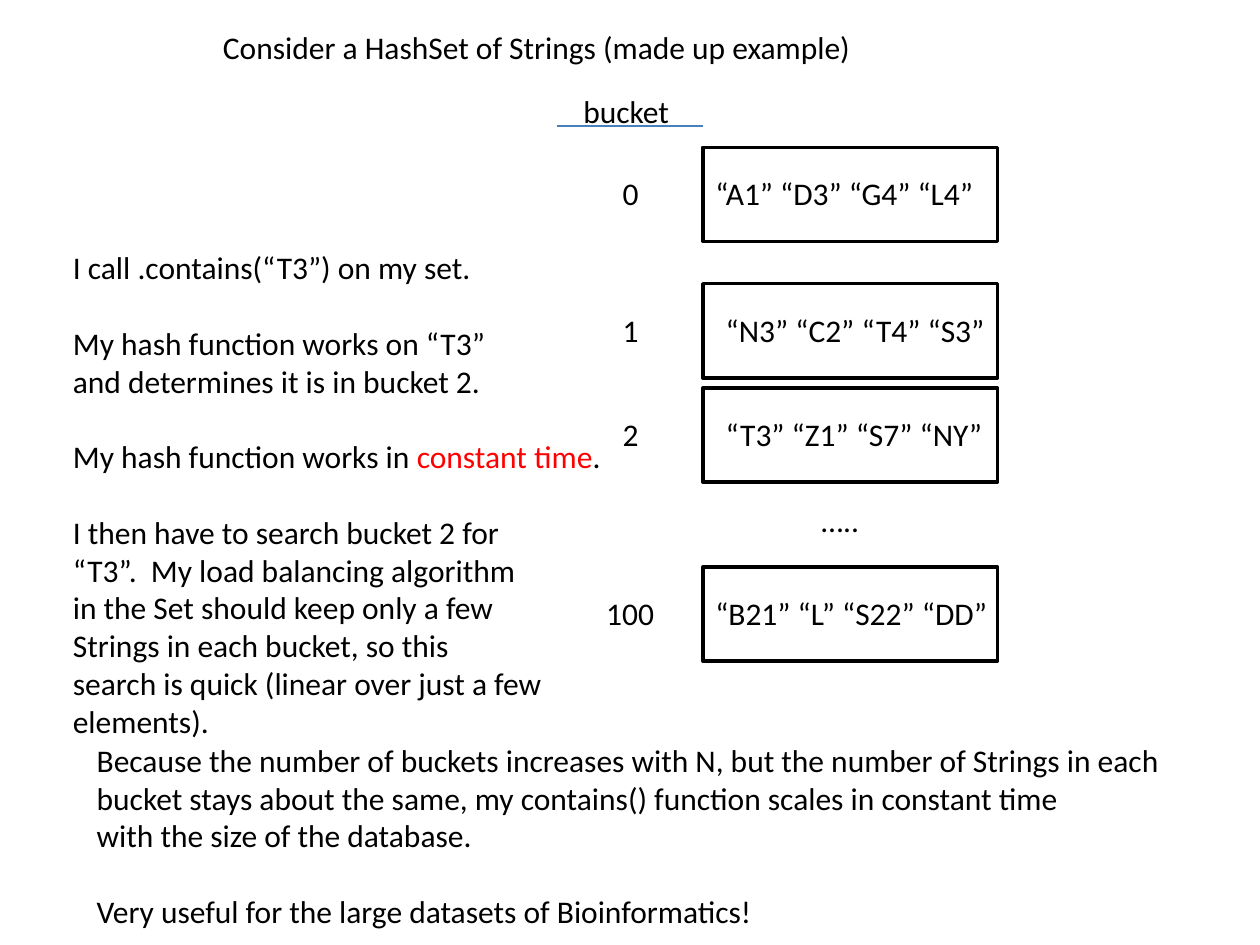
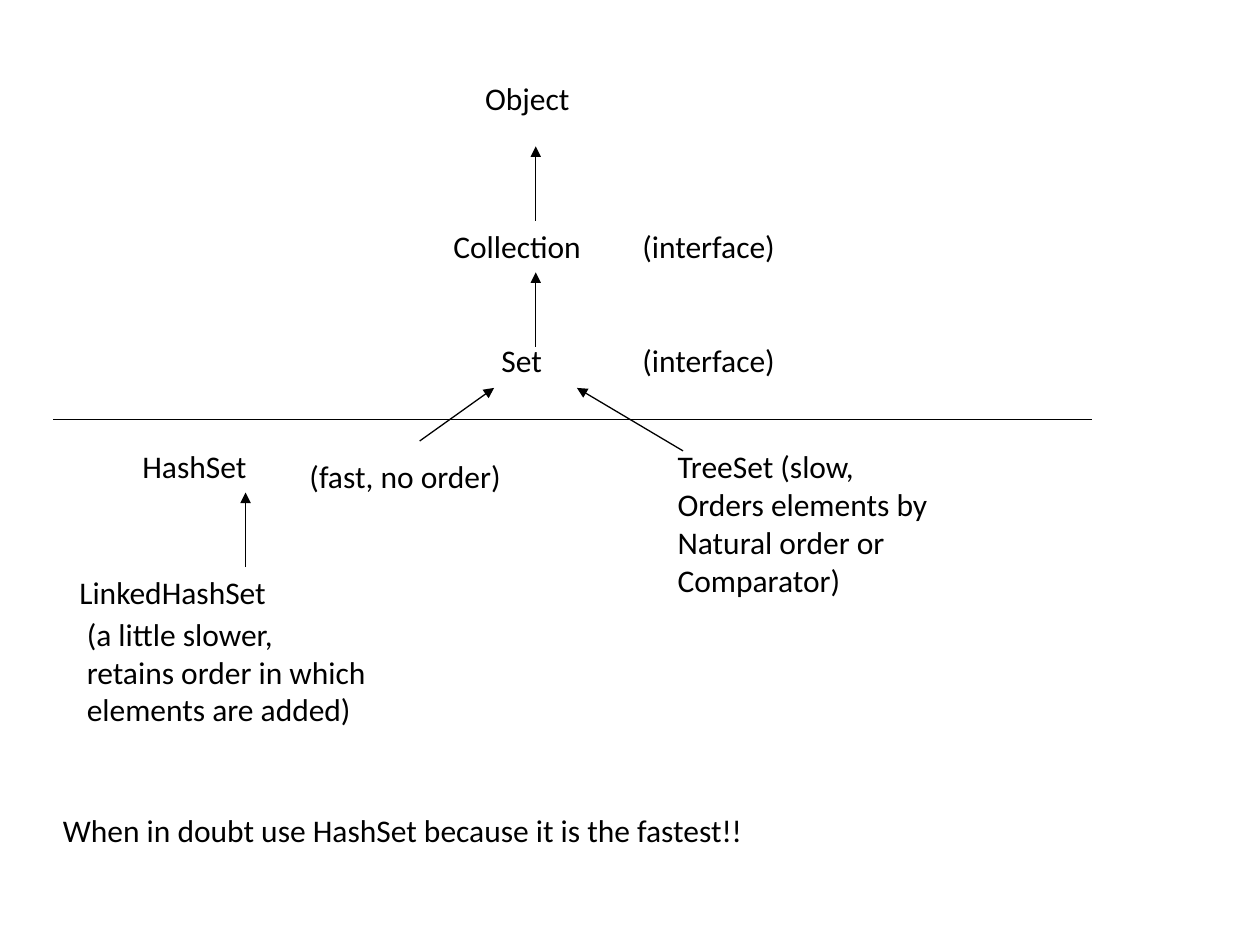
"""Build two slides on hash sets: how buckets work, and the Set class hierarchy."""
from lxml.etree import SubElement
from pptx import Presentation
from pptx.dml.color import RGBColor
from pptx.enum.shapes import MSO_CONNECTOR as CONN, MSO_SHAPE as SHAPE
from pptx.enum.text import MSO_ANCHOR as ANCHOR, MSO_AUTO_SIZE as AUTO, PP_ALIGN as ALIGN
from pptx.oxml.ns import qn
from pptx.util import Cm, Pt

FONT, SIZE, LINE_GAP = "Calibri", 18, 21.6
BLACK, RED, BLUE = "000000", "FF0000", "4B7EBC"
TITLE_LAYOUT, BLANK_LAYOUT = 5, 6

TITLE = "Consider a HashSet of Strings (made up example)"
BUCKETS = [
    ("0", "“A1” “D3” “G4” “L4”", 2.97, 14.17, 5.77),
    ("1", "“N3” “C2” “T4” “S3”", 5.72, 14.38, 5.79),
    ("2", "“T3” “Z1” “S7” “NY”", 7.82, 14.38, 5.74),
    ("100", "“B21” “L” “S22” “DD”", 11.43, 14.17, 6.05),
]
BOX_LEFT, BOX_WIDTH, BOX_HEIGHT = 14.17, 5.94, 1.9
TEXT_DROP, LABEL_CENTER = 0.42, 12.72
LABEL_WIDTHS = {1: 0.84, 3: 1.5}

SEARCH_STEPS = [
    "I call .contains(“T3”) on my set.",
    "My hash function works on “T3”\nand determines it is in bucket 2.",
    "My hash function works in constant time.",
    "I then have to search bucket 2 for\n“T3”.  My load balancing algorithm\n"
    "in the Set should keep only a few\nStrings in each bucket, so this\n"
    "search is quick (linear over just a few\nelements).",
]
CONCLUSION = [
    "Because the number of buckets increases with N, but the number of Strings in each\n"
    "bucket stays about the same, my contains() function scales in constant time\n"
    "with the size of the database.",
    "Very useful for the large datasets of Bioinformatics!",
]

HIERARCHY = [
    ("Object", 9.53, 1.47, 2.95, 1.27),
    ("Collection", 8.89, 4.45, 4.22, 1.27),
    ("(interface)", 12.7, 4.45, 4.32, 1.27),
    ("Set", 9.86, 6.76, 1.78, 1.27),
    ("(interface)", 12.7, 6.76, 4.32, 1.27),
    ("HashSet", 2.62, 8.89, 3.76, 1.27),
    ("(fast, no order)", 5.99, 9.09, 4.67, 1.02),
    ("LinkedHashSet", 1.35, 11.43, 6.25, 1.27),
    ("(a little slower,\nretains order in which\nelements are added)", 1.5, 12.27, 6.55, 2.54),
    ("TreeSet (slow,\nOrders elements by\nNatural order or\nComparator)", 13.41, 8.89, 6.22, 3.56),
    ("When in doubt use HashSet because it is the fastest!!", 1.02, 16.23, 20.6, 1.27),
]
ARROWS = [
    (10.8, 4.45, 10.8, 2.95),
    (10.8, 6.99, 10.8, 5.49),
    (8.46, 8.89, 9.96, 7.82),
    (4.95, 11.43, 4.95, 9.93),
    (13.77, 9.09, 11.63, 7.82),
]
DIVIDER = (1.07, 8.46, 22.02, 8.46)


def rgb(color):
    return RGBColor.from_string(color)


def add_run(p, text, color):
    for i, line in enumerate(text.split("\n")):
        if i:
            p.add_line_break()
        r = p.add_run()
        r.text = line
        r.font.name, r.font.size = FONT, Pt(SIZE)
        r.font.color.rgb = rgb(color)


def write(sp, paragraphs, highlight=None, color=BLACK):
    tf = sp.text_frame
    tf.word_wrap, tf.auto_size = False, AUTO.NONE
    tf.vertical_anchor = ANCHOR.TOP
    for i, text in enumerate(paragraphs):
        p = tf.add_paragraph() if i else tf.paragraphs[0]
        p.alignment = ALIGN.LEFT
        p.space_before = Pt(LINE_GAP if i else 0)
        before, match, after = text.partition(highlight) if highlight else (text, "", "")
        for part, shade in ((before, color), (match, RED), (after, color)):
            if part:
                add_run(p, part, shade)


def add_text(s, paragraphs, left, top, width, height, **fmt):
    sp = s.shapes.add_textbox(Cm(left), Cm(top), Cm(width), Cm(height))
    write(sp, paragraphs, **fmt)


def add_line(s, ends, color=BLACK, arrow=False):
    line = s.shapes.add_connector(CONN.STRAIGHT, *map(Cm, ends))
    line.line.color.rgb, line.line.width = rgb(color), Pt(0.75)
    if arrow:
        SubElement(line.line._get_or_add_ln(), qn("a:tailEnd"), type="triangle")
    SubElement(line._element.spPr, qn("a:effectLst"))


def add_bucket(s, label, entries, top, text_left, text_width):
    box = s.shapes.add_shape(SHAPE.RECTANGLE, Cm(BOX_LEFT), Cm(top), Cm(BOX_WIDTH), Cm(BOX_HEIGHT))
    box.shadow.inherit = False
    box.fill.background()
    box.line.color.rgb, box.line.width = rgb(BLACK), Pt(2)
    add_text(s, [entries], text_left, top + TEXT_DROP, text_width, 1.02)
    width = LABEL_WIDTHS[len(label)]
    add_text(s, [label], LABEL_CENTER - width / 2, top + TEXT_DROP, width, 1.02)


def build_buckets(prs):
    s = prs.slides.add_slide(prs.slide_layouts[TITLE_LAYOUT])
    title = s.shapes.title
    title.left, title.top, title.width, title.height = map(Cm, (4.24, 0.43, 13.31, 1.02))
    write(title, [TITLE])
    add_text(s, ["bucket"], 11.51, 1.73, 2.26, 1.02)
    add_line(s, (11.23, 2.54, BOX_LEFT, 2.54), color=BLUE)
    for bucket in BUCKETS:
        add_bucket(s, *bucket)
    add_text(s, ["….."], 16.31, 9.98, 1.27, 1.02)
    add_text(s, SEARCH_STEPS, 1.22, 4.88, 11.28, 11.02, highlight="constant time")
    add_text(s, CONCLUSION, 1.7, 14.81, 22.2, 4.11)


def build_hierarchy(prs):
    s = prs.slides.add_slide(prs.slide_layouts[BLANK_LAYOUT])
    for text, *place in HIERARCHY:
        add_text(s, [text], *place)
    for ends in ARROWS:
        add_line(s, ends, arrow=True)
    add_line(s, DIVIDER)


prs = Presentation()
prs.slide_width, prs.slide_height = Cm(25.4), Cm(19.05)
build_buckets(prs)
build_hierarchy(prs)
prs.save("out.pptx")
